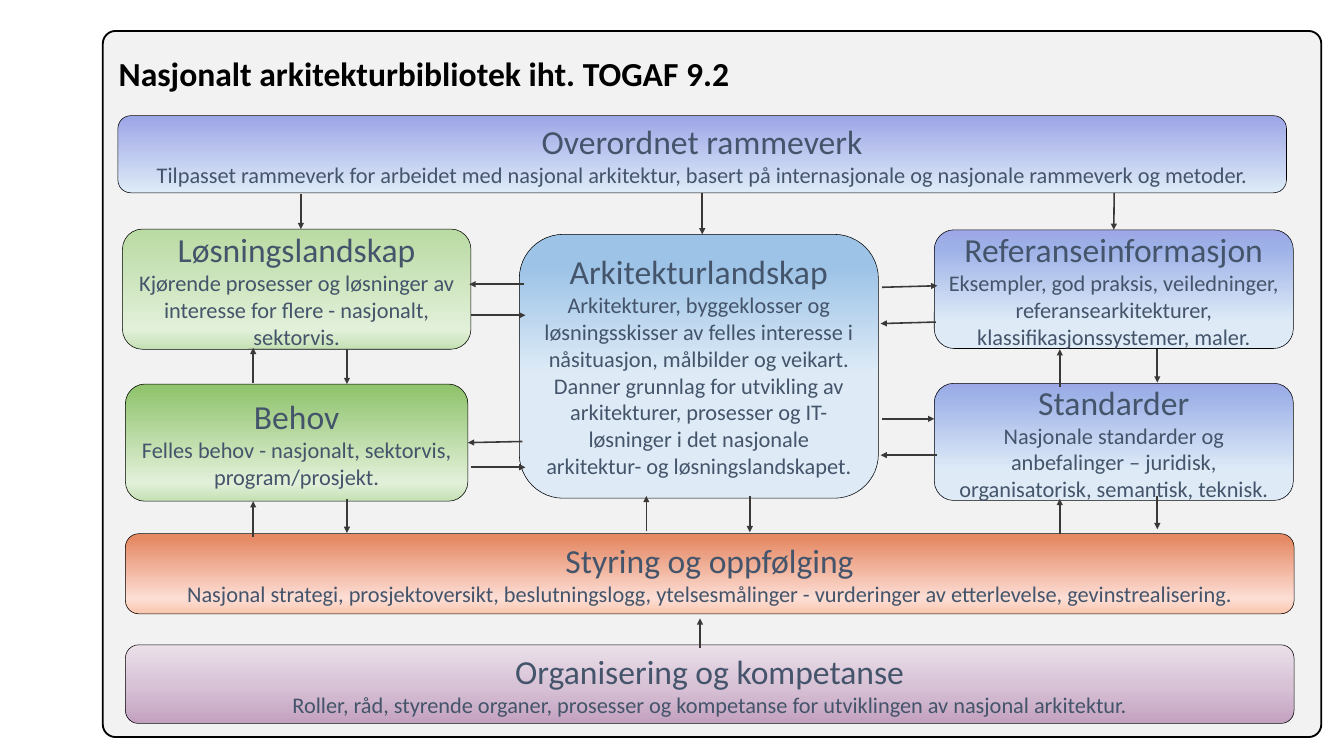
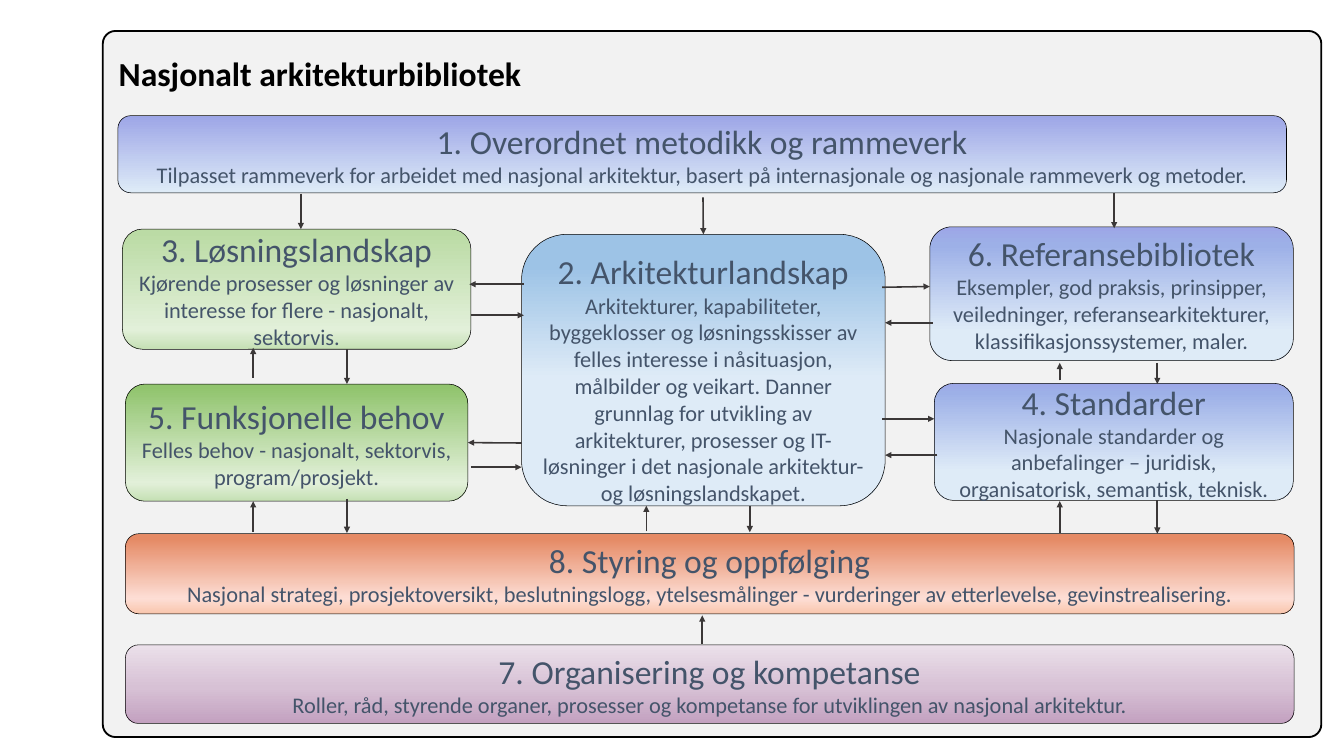
from copy import deepcopy

from lxml.etree import SubElement
from pptx import Presentation
from pptx.dml.color import RGBColor
from pptx.enum.shapes import MSO_CONNECTOR, MSO_SHAPE
from pptx.enum.text import MSO_ANCHOR, PP_ALIGN
from pptx.oxml.ns import qn
from pptx.util import Pt

PX = 9144  # EMU per px, 100 px to the inch
FONT = "Calibri"
BLACK = RGBColor(0x00, 0x00, 0x00)
PANEL_GREY = RGBColor(0xF2, 0xF2, 0xF2)
SLATE = RGBColor(0x44, 0x54, 0x6A)
ARROW_GREY = RGBColor(0x3B, 0x38, 0x38)
PERIWINKLE = RGBColor(0x9D, 0xA6, 0xE7)
PERIWINKLE_SOFT = RGBColor(0x9D, 0xB0, 0xE7)
ICE = RGBColor(0xDE, 0xEB, 0xF7)
SKY = RGBColor(0x9D, 0xC3, 0xE6)
ORANGE = RGBColor(0xE5, 0x8A, 0x65)
PEACH = RGBColor(0xFD, 0xDE, 0xD5)
APRICOT = RGBColor(0xF9, 0xC6, 0xAD)
LILAC = RGBColor(0xEB, 0xE0, 0xEA)
MAUVE = RGBColor(0xD7, 0xC1, 0xD5)
PLUM = RGBColor(0xC3, 0xA1, 0xC0)
LEAF = RGBColor(0xBB, 0xDB, 0xA5)
GREEN = RGBColor(0x91, 0xC4, 0x6E)
MINT = RGBColor(0xE2, 0xF0, 0xD9)
SAGE = RGBColor(0xC5, 0xE0, 0xB4)

PANEL = (136, 41, 1612, 934)

# Gradient stops (percent, colour) of each part, from back to front
GRADIENTS = {
    "framework": [(0, PERIWINKLE), (100, ICE)],
    "reference": [(0, PERIWINKLE), (14, PERIWINKLE_SOFT), (78, ICE)],
    "landscape": [(0, SKY), (12, SKY), (53, ICE)],
    "standards": [(0, PERIWINKLE), (8, PERIWINKLE_SOFT), (75, ICE)],
    "governance": [(6, ORANGE), (81, PEACH), (100, APRICOT)],
    "organisation": [(0, LILAC), (54, MAUVE), (100, PLUM)],
    "solutions": [(3, LEAF), (84, MINT), (100, SAGE)],
    "needs": [(3, GREEN), (84, MINT), (100, SAGE)],
}

# Boxes and arrows are measured from the panel's corner
BOXES = {
    "framework": (20, 112, 1546, 102),
    "reference": (1100, 263, 475, 157),
    "landscape": (551, 269, 475, 349),
    "standards": (1100, 466, 475, 155),
    "governance": (30, 665, 1546, 106),
    "organisation": (30, 812, 1546, 104),
    "solutions": (26, 262, 461, 159),
    "needs": (30, 467, 453, 155),
}
BOXES_NUMBERED = BOXES | {
    "reference": (1094, 259, 481, 177),
    "landscape": (554, 269, 481, 359),
}

BODIES = {
    "framework": "Tilpasset rammeverk for arbeidet med nasjonal arkitektur, basert på "
                 "internasjonale og nasjonale rammeverk og metoder.",
    "reference": "Eksempler, god praksis, veiledninger, referansearkitekturer, "
                 "klassifikasjonssystemer, maler.",
    "landscape": "Arkitekturer, byggeklosser og løsningsskisser av felles interesse i "
                 "nåsituasjon, målbilder og veikart. Danner grunnlag for utvikling av "
                 "arkitekturer, prosesser og IT-løsninger i det nasjonale arkitektur- og "
                 "løsningslandskapet.",
    "standards": "Nasjonale standarder og anbefalinger – juridisk, organisatorisk, "
                 "semantisk, teknisk.",
    "governance": "Nasjonal strategi, prosjektoversikt, beslutningslogg, ytelsesmålinger - "
                  "vurderinger av etterlevelse, gevinstrealisering.",
    "organisation": "Roller, råd, styrende organer, prosesser og kompetanse for utviklingen "
                    "av nasjonal arkitektur.",
    "solutions": "Kjørende prosesser og løsninger av interesse for flere - nasjonalt, "
                 "sektorvis.",
    "needs": "Felles behov - nasjonalt, sektorvis, program/prosjekt.",
}
BODIES_NUMBERED = BODIES | {
    "reference": BODIES["reference"].replace("praksis,", "praksis, prinsipper,"),
    "landscape": BODIES["landscape"].replace("Arkitekturer,", "Arkitekturer, kapabiliteter,"),
}

HEADINGS = {
    "framework": "Overordnet rammeverk",
    "reference": "Referanseinformasjon",
    "landscape": "Arkitekturlandskap",
    "standards": "Standarder",
    "governance": "Styring og oppfølging",
    "organisation": "Organisering og kompetanse",
    "solutions": "Løsningslandskap",
    "needs": "Behov",
}
HEADINGS_NUMBERED = {
    "framework": "1. Overordnet metodikk og rammeverk",
    "reference": "6. Referansebibliotek",
    "landscape": "2. Arkitekturlandskap",
    "standards": "4. Standarder",
    "governance": "8. Styring og oppfølging",
    "organisation": "7. Organisering og kompetanse",
    "solutions": "3. Løsningslandskap",
    "needs": "5. Funksjonelle behov",
}

# Arrows run from (x, y) to (x, y)
ARROWS_SHARED = [
    (262, 215, 262, 262),     # framework to solutions
    (1338, 214, 1338, 261),   # framework to reference
    (323, 421, 323, 467),     # solutions to needs
    (557, 335, 485, 335),     # landscape to solutions
    (1031, 513, 1100, 513),   # landscape to standards
    (323, 619, 323, 664),     # needs to governance
]
ARROWS = ARROWS_SHARED + [
    (793, 214, 793, 269),     # framework to landscape
    (1395, 615, 1395, 659),   # standards to governance
    (1266, 666, 1266, 619),
    (1266, 471, 1266, 421),   # standards to reference
    (1395, 421, 1395, 465),
    (199, 669, 199, 622),     # governance to needs
    (199, 466, 199, 419),     # needs to solutions
    (555, 543, 482, 545),     # landscape to needs
    (487, 577, 559, 577),
    (487, 376, 559, 376),     # solutions to landscape
    (1102, 385, 1029, 387),   # reference to landscape
    (1031, 339, 1104, 337),
    (1104, 561, 1029, 561),   # standards to landscape
    (856, 615, 856, 663),     # landscape to governance
    (719, 662, 719, 615),
    (790, 816, 790, 777),     # organisation to governance
]
ARROWS_NUMBERED = ARROWS_SHARED + [
    (794, 220, 794, 269),     # framework to landscape
    (1395, 621, 1395, 665),   # standards to governance
    (1266, 664, 1266, 622),
    (1266, 462, 1266, 439),   # standards to reference
    (1395, 439, 1395, 467),
    (199, 663, 199, 622),     # governance to needs
    (199, 459, 199, 419),     # needs to solutions
    (554, 545, 482, 545),     # landscape to needs
    (487, 577, 554, 577),
    (487, 376, 557, 376),     # solutions to landscape
    (1098, 386, 1035, 386),   # reference to landscape
    (1031, 339, 1094, 338),
    (1104, 561, 1035, 561),   # standards to landscape
    (856, 628, 856, 663),     # landscape to governance
    (719, 662, 719, 628),
    (793, 811, 793, 773),     # organisation to governance
]


def add_box(slide, preset, box):
    shape = slide.shapes.add_shape(preset, *(n * PX for n in box))
    shape.shadow.inherit = False
    return shape


def inside(box, part):
    return (box[0] + part[0], box[1] + part[1], *part[2:])


def add_run(paragraph, text, size, color, bold=False):
    run = paragraph.add_run()
    run.text = text
    run.font.name = FONT
    run.font.size = Pt(size)
    run.font.bold = bold
    run.font.color.rgb = color


def fill_gradient(shape, stops):
    """Fill from top to bottom with any number of stops."""
    shape.fill.gradient()
    shape.fill.gradient_angle = 270
    stop_list = shape._element.spPr.find(".//" + qn("a:gsLst"))
    template = deepcopy(stop_list[0])
    for child in list(template):
        template.remove(child)
    for old in list(stop_list):
        stop_list.remove(old)
    for percent, color in stops:
        stop = deepcopy(template)
        stop.set("pos", str(percent * 1000))
        SubElement(stop, qn("a:srgbClr")).set("val", str(color))
        stop_list.append(stop)


def add_panel(slide, box, title):
    # Frame
    frame = add_box(slide, MSO_SHAPE.ROUNDED_RECTANGLE, box)
    frame.adjustments[0] = 0.018
    frame.fill.solid()
    frame.fill.fore_color.rgb = PANEL_GREY
    frame.line.color.rgb = BLACK
    frame.line.width = Pt(1.75)
    # Title
    heading = add_box(slide, MSO_SHAPE.RECTANGLE, inside(box, (8, 21, 950, 77)))
    heading.fill.solid()
    heading.fill.fore_color.rgb = PANEL_GREY
    heading.line.fill.background()
    text = heading.text_frame
    text.word_wrap = True
    text.vertical_anchor = MSO_ANCHOR.MIDDLE
    text.margin_left = text.margin_right = 13 * PX
    text.margin_top = text.margin_bottom = 7 * PX
    paragraph = text.paragraphs[0]
    paragraph.alignment = PP_ALIGN.LEFT
    paragraph.line_spacing = 0.9
    add_run(paragraph, title, 32, BLACK, bold=True)


def add_part(slide, box, stops, heading, body, anchor):
    part = add_box(slide, MSO_SHAPE.ROUNDED_RECTANGLE, box)
    fill_gradient(part, stops)
    part.line.color.rgb = BLACK
    part.line.width = Pt(0.5)
    text = part.text_frame
    text.word_wrap = True
    text.vertical_anchor = anchor
    for paragraph, words, size in ((text.paragraphs[0], heading, 32),
                                   (text.add_paragraph(), body, 21.3)):
        paragraph.alignment = PP_ALIGN.CENTER
        add_run(paragraph, words, size, SLATE)
    return part


def find_side(parts, x, y):
    """Return the part and side whose middle lies at the point, if any."""
    for part in parts:
        left, top, width, height = part.left, part.top, part.width, part.height
        middles = ((left + width / 2, top), (left, top + height / 2),
                   (left + width / 2, top + height), (left + width, top + height / 2))
        for side, (mid_x, mid_y) in enumerate(middles):
            if max(abs(mid_x - x), abs(mid_y - y)) <= 2 * PX:
                return part, side
    return None


def add_arrow(slide, box, points, parts):
    x1, y1, x2, y2 = ((offset + n) * PX for offset, n in zip(box[:2] * 2, points))
    arrow = slide.shapes.add_connector(MSO_CONNECTOR.STRAIGHT, x1, y1, x2, y2)
    if start := find_side(parts, x1, y1):
        arrow.begin_connect(*start)
    if end := find_side(parts, x2, y2):
        arrow.end_connect(*end)
    arrow.line.color.rgb = ARROW_GREY
    arrow.line.width = Pt(1.5)
    SubElement(arrow.line._get_or_add_ln(), qn("a:tailEnd")).set("type", "triangle")
    SubElement(arrow._element.spPr, qn("a:effectLst"))


def add_library_slide(deck, panel, title, boxes, headings, bodies, arrows):
    slide = deck.slides.add_slide(deck.slide_layouts[6])
    add_panel(slide, panel, title)
    parts = []
    for key, stops in GRADIENTS.items():
        anchor = MSO_ANCHOR.TOP if key == "landscape" else MSO_ANCHOR.MIDDLE
        parts.append(add_part(slide, inside(panel, boxes[key]), stops,
                              headings[key], bodies[key], anchor))
    for points in arrows:
        add_arrow(slide, panel, points, parts)


def main():
    deck = Presentation()
    deck.slide_width = 1778 * PX
    deck.slide_height = 1000 * PX
    add_library_slide(deck, PANEL, "Nasjonalt arkitekturbibliotek iht. TOGAF 9.2",
                      BOXES, HEADINGS, BODIES, ARROWS)
    add_library_slide(deck, PANEL, "Nasjonalt arkitekturbibliotek",
                      BOXES_NUMBERED, HEADINGS_NUMBERED, BODIES_NUMBERED, ARROWS_NUMBERED)
    deck.save("out.pptx")


if __name__ == "__main__":
    main()
